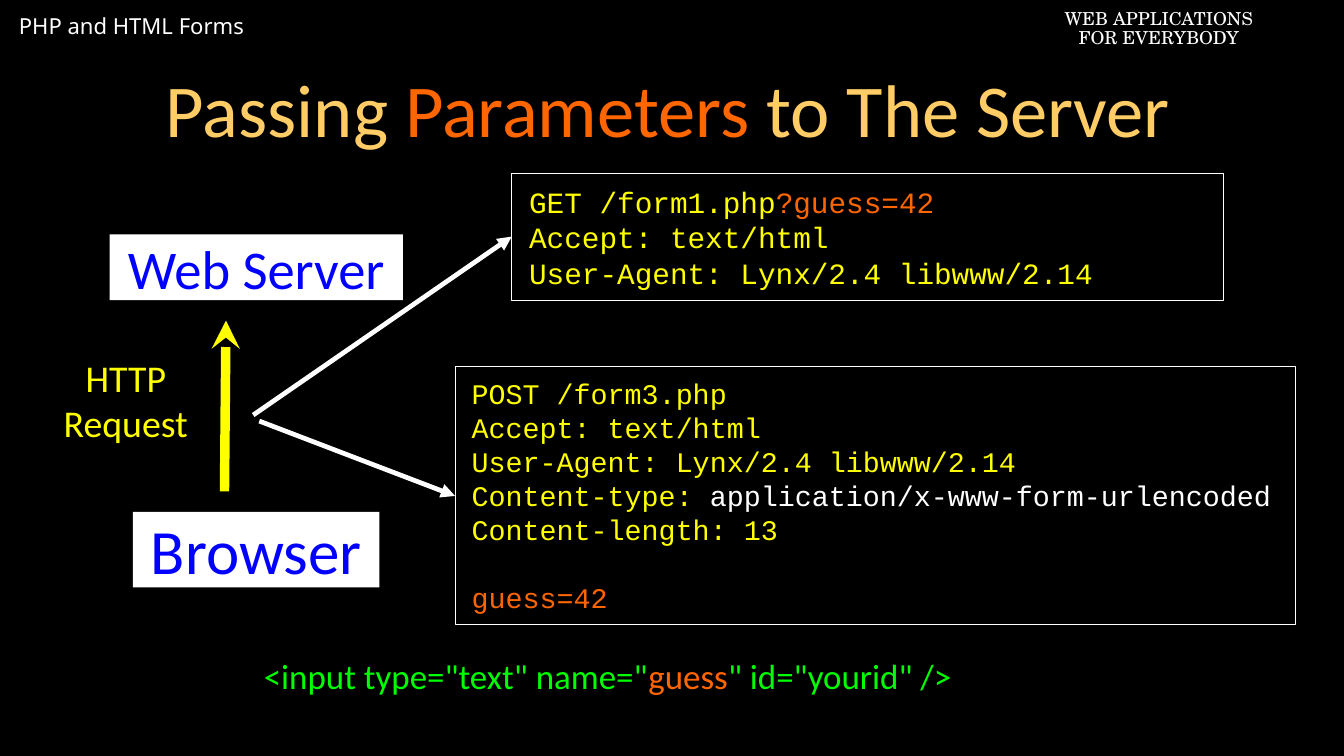
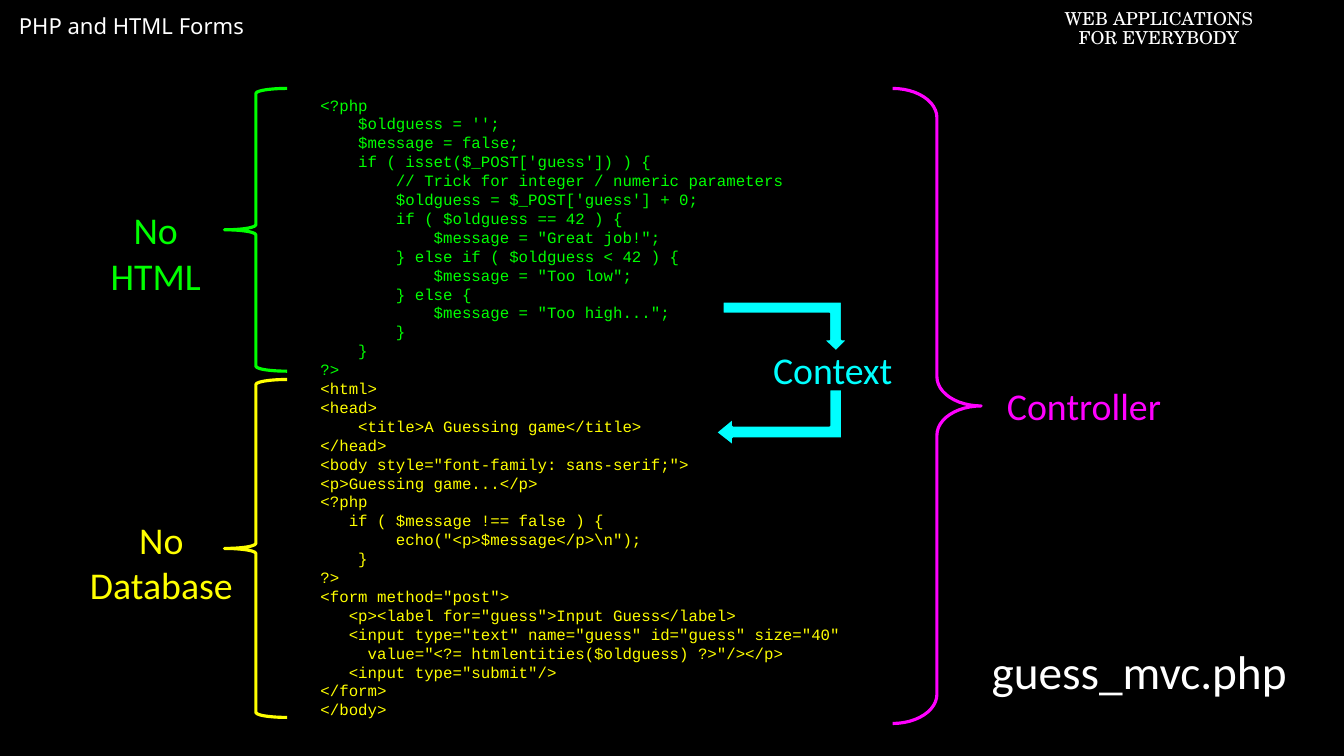
from lxml import etree
from pptx import Presentation
from pptx.dml.color import RGBColor
from pptx.enum.shapes import MSO_CONNECTOR, MSO_SHAPE
from pptx.enum.text import MSO_ANCHOR, PP_ALIGN
from pptx.oxml.ns import qn
from pptx.util import Inches, Pt

LEFT, CENTER = PP_ALIGN.LEFT, PP_ALIGN.CENTER
TOP, MIDDLE = MSO_ANCHOR.TOP, MSO_ANCHOR.MIDDLE
RECTANGLE = MSO_SHAPE.RECTANGLE
LEFT_BRACE, RIGHT_BRACE = MSO_SHAPE.LEFT_BRACE, MSO_SHAPE.RIGHT_BRACE
STRAIGHT = MSO_CONNECTOR.STRAIGHT

COLORS = {
    "black": "000000",
    "white": "FFFFFF",
    "gold": "FFCC66",
    "orange": "FF6600",
    "yellow": "FFFF00",
    "green": "00FF00",
    "blue": "0000FF",
    "magenta": "FF00FF",
    "cyan": "00FFFF",
}
SANS, CODE, HEADER, SERIF = "Calibri", "Courier New", "Noto Sans", "TeX Gyre Schola"
PADDED = (0.18, 0.09, 0.18, 0.09)
CODE_LEADING = 1.2

CONTROLLER_CODE = """\
<?php
    $oldguess = '';
    $message = false;
    if ( isset($_POST['guess']) ) {
        // Trick for integer / numeric parameters
        $oldguess = $_POST['guess'] + 0;
        if ( $oldguess == 42 ) {
            $message = "Great job!";
        } else if ( $oldguess < 42 ) {
            $message = "Too low";
        } else {
            $message = "Too high...";
        }
    }
?>"""

VIEW_CODE = r"""<html>
<head>
    <title>A Guessing game</title>
</head>
<body style="font-family: sans-serif;">
<p>Guessing game...</p>
<?php
   if ( $message !== false ) {
        echo("<p>$message</p>\n");
    }
?>
<form method="post">
   <p><label for="guess">Input Guess</label>
   <input type="text" name="guess" id="guess" size="40"
     value="<?= htmlentities($oldguess) ?>"/></p>
   <input type="submit"/>
</form>
</body>"""


def rgb(name):
    return RGBColor.from_string(COLORS[name])


def inches(values):
    return [Inches(value) for value in values]


def colored(text, color):
    return [[(line, color)] for line in text.splitlines()]


def write(shape, lines, size, font=SANS, align=CENTER, anchor=MIDDLE,
          insets=(0, 0, 0, 0), wrap=True, spacing=None):
    left, top, right, bottom = inches(insets)
    frame = shape.text_frame
    frame_format = {
        "margin_left": left, "margin_top": top,
        "margin_right": right, "margin_bottom": bottom,
        "vertical_anchor": anchor, "word_wrap": wrap,
    }
    for name, value in frame_format.items():
        setattr(frame, name, value)
    for index, line in enumerate(lines):
        paragraph = frame.add_paragraph() if index else frame.paragraphs[0]
        paragraph_format = {"alignment": align, "line_spacing": spacing}
        for name, value in paragraph_format.items():
            setattr(paragraph, name, value)
        for text, color in line:
            run = paragraph.add_run()
            run.text = text
            run_format = {"size": Pt(size), "name": font}
            for name, value in run_format.items():
                setattr(run.font, name, value)
            run.font.color.rgb = rgb(color)
    return frame


def add_text(slide, box, lines, size, **options):
    return write(slide.shapes.add_textbox(*inches(box)), lines, size, **options)


def paint(shape, fill=None, line=None, width=1):
    shape.shadow.inherit = False
    if fill:
        shape.fill.solid()
        shape.fill.fore_color.rgb = rgb(fill)
    else:
        shape.fill.background()
    if line:
        shape.line.color.rgb = rgb(line)
        shape.line.width = Pt(width)
    else:
        shape.line.fill.background()


def add_node(slide, box, label, size):
    node = slide.shapes.add_shape(RECTANGLE, *inches(box))
    paint(node, fill="white")
    write(node, colored(label, "blue"), size, wrap=False)


def add_request(slide, box, lines, size, indent):
    request = slide.shapes.add_shape(RECTANGLE, *inches(box))
    paint(request, line="white")
    return write(request, lines, size, font=CODE, align=LEFT,
                 insets=(indent, 0, 0, 0), spacing=Pt(size * CODE_LEADING))


def add_arrow(slide, start, end, color, width, head):
    arrow = slide.shapes.add_connector(STRAIGHT, *inches(start + end))
    arrow.line.color.rgb = rgb(color)
    arrow.line.width = Pt(width)
    properties = arrow.line._get_or_add_ln()
    etree.SubElement(properties, qn("a:tailEnd"), type=head)
    etree.SubElement(properties.getparent(), qn("a:effectLst"))


def add_brace(slide, kind, box, curve, color):
    brace = slide.shapes.add_shape(kind, *inches(box))
    paint(brace, line=color, width=3)
    brace.adjustments[0] = curve


def add_bent_arrow(slide, points):
    outline = [tuple(inches(point)) for point in points]
    builder = slide.shapes.build_freeform(*outline[0], scale=1.0)
    builder.add_line_segments(outline[1:], close=True)
    paint(builder.convert_to_shape(), fill="cyan", line="black", width=2)


def add_label(slide, box, text, color):
    add_text(slide, box, colored(text, color), 36, anchor=TOP,
             insets=PADDED, wrap=False)


def add_course_slide(deck):
    slide = deck.slides.add_slide(deck.slide_layouts[6])
    slide.background.fill.solid()
    slide.background.fill.fore_color.rgb = rgb("black")
    add_text(slide, (0.07, 0.07, 5.9, 0.88), colored("PHP and HTML Forms", "white"),
             21, font=HEADER, align=LEFT, anchor=TOP, insets=PADDED)
    add_text(slide, (13.31, 0.08, 4.04, 0.61),
             colored("WEB APPLICATIONS\nFOR EVERYBODY", "white"), 17, font=SERIF,
             anchor=TOP, insets=(0.1, 0.05, 0.1, 0.05), spacing=0.9)
    return slide


def build_parameters_slide(deck):
    slide = add_course_slide(deck)
    add_text(slide, (1.22, 0.42, 15.24, 2),
             [[("Passing ", "gold"), ("Parameters", "orange"),
               (" to The Server", "gold")]], 71, insets=(0.1, 0.1, 0.1, 0.1))

    agent_lines = colored("Accept: text/html\nUser-Agent: Lynx/2.4 libwww/2.14", "yellow")
    add_request(slide, (6.77, 2.29, 9.42, 1.69),
                [[("GET /form1.php", "yellow"), ("?guess=42", "orange")], *agent_lines],
                28, 0.23)
    post_size = 27
    post = add_request(
        slide, (6.02, 4.85, 11.12, 3.41),
        [*colored("POST /form3.php", "yellow"), *agent_lines,
         [("Content-type: ", "yellow"), ("application/x-www-form-urlencoded", "white")],
         *colored("Content-length: 13", "yellow"),
         *colored("guess=42", "orange")], post_size, 0.22)
    post.paragraphs[-1].space_before = Pt(post_size * CODE_LEADING)

    add_text(slide, (0.71, 4.69, 1.91, 1.2), colored("HTTP\nRequest", "yellow"),
             36, wrap=False)
    add_node(slide, (1.76, 6.77, 3.26, 1), "Browser", 60)
    add_node(slide, (1.45, 3.1, 3.88, 0.87), "Web Server", 52)
    add_arrow(slide, (2.97, 6.5), (2.99, 4.24), "yellow", 9, "stealth")
    add_text(slide, (2.97, 8.6, 11.78, 0.68),
             [[('<input type="text" name="', "green"), ("guess", "orange"),
               ('" id="yourid" />', "green")]],
             33.3, align=LEFT, insets=(0.52, 0, 0, 0))
    for start, end in (((3.35, 5.49), (6.77, 3.13)), ((3.43, 5.57), (6.02, 6.56))):
        add_arrow(slide, start, end, "white", 4.5, "triangle")


def build_mvc_slide(deck):
    slide = add_course_slide(deck)
    code_size = 15
    add_text(slide, (4.06, 1.17, 8.89, 8.43),
             colored(CONTROLLER_CODE, "green") + colored(VIEW_CODE, "yellow"),
             code_size, font=CODE, align=LEFT, anchor=TOP, insets=PADDED,
             spacing=Pt(code_size * CODE_LEADING))

    for kind, box, curve, color in (
        (LEFT_BRACE, (2.97, 1.17, 0.83, 3.74), 0.08, "green"),
        (LEFT_BRACE, (2.97, 5.02, 0.83, 4.47), 0.08, "yellow"),
        (RIGHT_BRACE, (11.81, 1.17, 1.17, 8.4), 0.33, "magenta"),
    ):
        add_brace(slide, kind, box, curve, color)

    for box, text, color in (
        ((1.2, 2.65, 1.72, 1.38), "No\nHTML", "green"),
        ((0.85, 6.74, 2.57, 1.38), "No\nDatabase", "yellow"),
        ((12.98, 4.97, 2.72, 0.78), "Controller", "magenta"),
        ((9.92, 4.49, 2.19, 0.78), "Context", "cyan"),
    ):
        add_label(slide, box, text, color)

    add_bent_arrow(slide, [(9.56, 4.15), (10.97, 4.15), (10.97, 4.49), (10.89, 4.49),
                           (11.06, 4.65), (11.22, 4.49), (11.14, 4.49), (11.14, 3.99),
                           (9.56, 3.99)])
    add_bent_arrow(slide, [(10.97, 5.15), (10.97, 5.63), (9.7, 5.63), (9.7, 5.53),
                           (9.47, 5.72), (9.7, 5.9), (9.7, 5.8), (11.14, 5.8),
                           (11.14, 5.15)])
    add_text(slide, (12.81, 8.5, 4.52, 0.75), colored("guess_mvc.php", "white"),
             45, wrap=False)


def main():
    deck = Presentation()
    deck.slide_width, deck.slide_height = Inches(17.78), Inches(10)
    build_parameters_slide(deck)
    build_mvc_slide(deck)
    deck.save("out.pptx")


if __name__ == "__main__":
    main()
